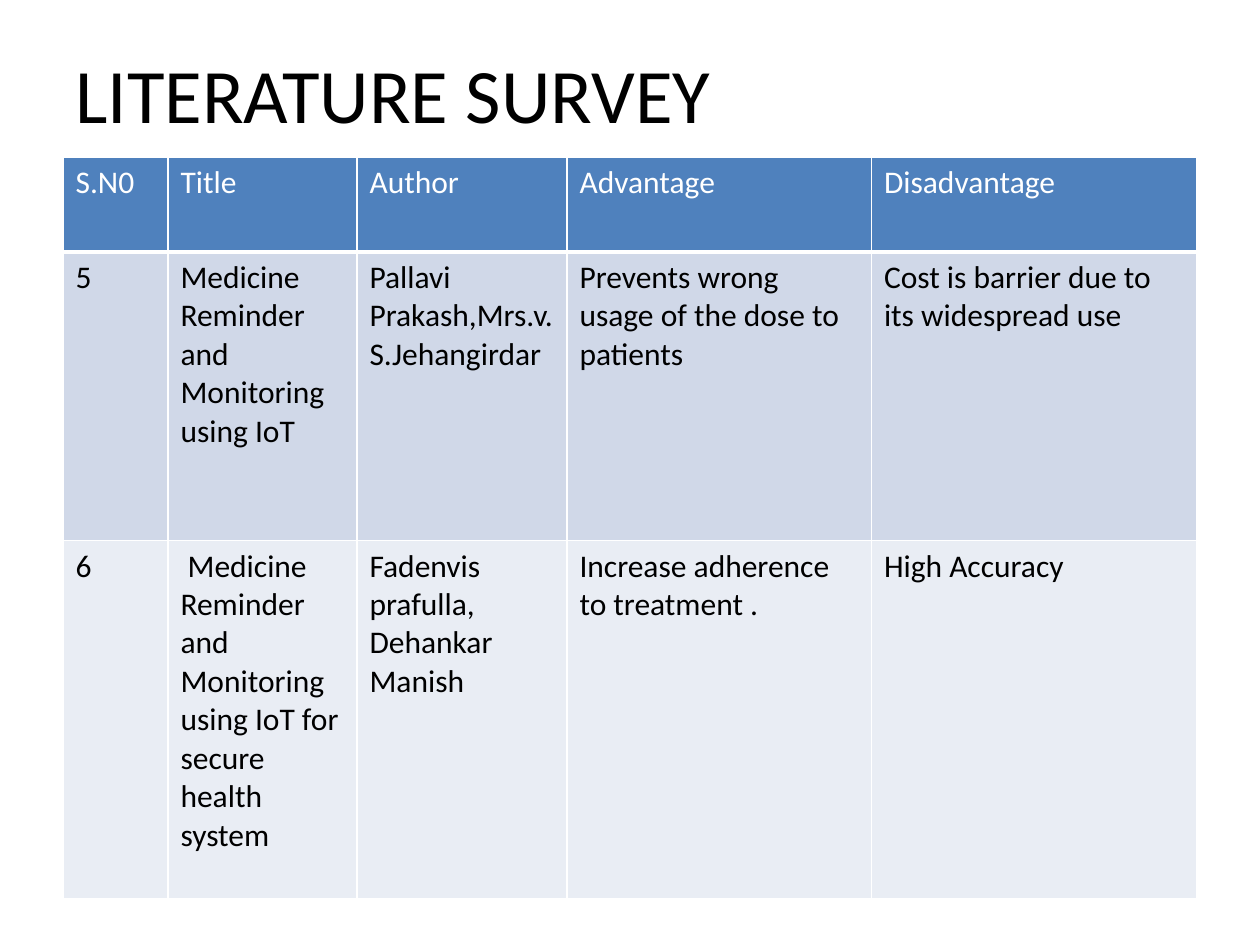
from lxml import etree
from pptx import Presentation
from pptx import util as u
from pptx.dml.color import RGBColor
from pptx.enum import text
from pptx.oxml.ns import qn

BLACK = RGBColor(0x00, 0x00, 0x00)
WHITE = RGBColor(0xFF, 0xFF, 0xFF)
BLUE = RGBColor(0x4F, 0x81, 0xBD)
BAND_DARK = RGBColor(0xD0, 0xD8, 0xE8)
BAND_LIGHT = RGBColor(0xE9, 0xED, 0xF4)

COL_WIDTHS = [60, 108, 120, 174, 186]
ROW_HEIGHTS = [54, 165, 204.5]
ROW_STYLES = [(BLUE, WHITE, 3), (BAND_DARK, BLACK, 1), (BAND_LIGHT, BLACK, 1)]
SURVEY = [
    ["S.N0", "Title", "Author", "Advantage ", "Disadvantage"],
    ["5", "Medicine Reminder and Monitoring using IoT",
     "Pallavi Prakash,Mrs.v.S.Jehangirdar",
     "Prevents wrong usage of the dose to patients",
     "Cost is barrier due to its widespread use"],
    ["6", " Medicine Reminder and Monitoring using IoT for secure health system",
     "Fadenvis prafulla, Dehankar Manish",
     "Increase adherence to treatment .", "High Accuracy"],
]


class Deck:
    """Holds the text style and the current slide."""

    def __init__(self, s, font="Calibri"):
        """Keep the slide and the font."""
        self.s, self.font = s, font

    def run(self, p, words, size, color):
        """Add one styled run to a paragraph."""
        r = p.add_run()
        r.text = words
        r.font.name, r.font.size = self.font, u.Pt(size)
        r.font.color.rgb = color

    def title(self, words, x, y, w, h):
        """Add the heading, centred vertically in its box."""
        sp = self.s.shapes.add_textbox(u.Pt(x), u.Pt(y), u.Pt(w), u.Pt(h))
        tf = sp.text_frame
        tf.word_wrap = True
        tf.vertical_anchor = text.MSO_ANCHOR.MIDDLE
        self.run(tf.paragraphs[0], words, 44, BLACK)

    def borders(self, cell, bottom):
        """Draw white cell borders with the given bottom width."""
        tc_pr = cell._tc.get_or_add_tcPr()
        for side, width in (("L", 1), ("R", 1), ("T", 1), ("B", bottom)):
            ln = etree.SubElement(tc_pr, qn(f"a:ln{side}"), w=str(u.Pt(width)))
            fill = etree.SubElement(ln, qn("a:solidFill"))
            etree.SubElement(fill, qn("a:srgbClr"), val=str(WHITE))

    def table(self, rows, x, y):
        """Add the table, one fill, text colour and rule width per row."""
        table = self.s.shapes.add_table(
            len(rows), len(COL_WIDTHS), u.Pt(x), u.Pt(y),
            u.Pt(sum(COL_WIDTHS)), u.Pt(sum(ROW_HEIGHTS))).table
        for col, width in zip(table.columns, COL_WIDTHS):
            col.width = u.Pt(width)
        for row, height, words, style in zip(
                table.rows, ROW_HEIGHTS, rows, ROW_STYLES):
            row.height = u.Pt(height)
            fill, color, bottom = style
            for cell, word in zip(row.cells, words):
                self.borders(cell, bottom)
                cell.fill.solid()
                cell.fill.fore_color.rgb = fill
                p = cell.text_frame.paragraphs[0]
                self.run(p, word, 18, color)
                p.runs[0].font.bold = False


prs = Presentation()
prs.slide_width, prs.slide_height = u.Pt(720), u.Pt(540)
deck = Deck(prs.slides.add_slide(prs.slide_layouts[6]))
deck.title("LITERATURE SURVEY", 36, 21.6, 648, 62.6)
deck.table(SURVEY, 36, 90)
prs.save("out.pptx")
